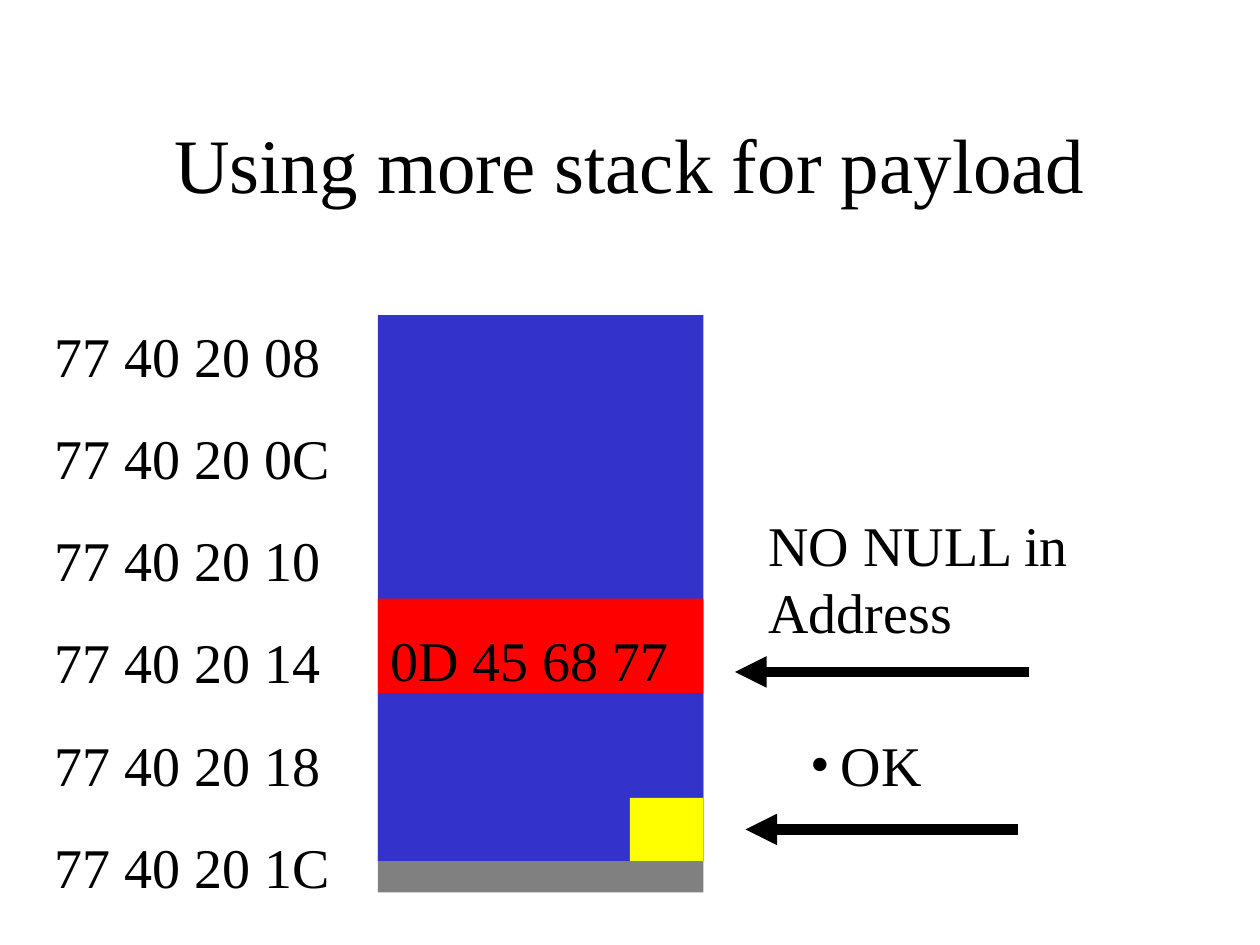
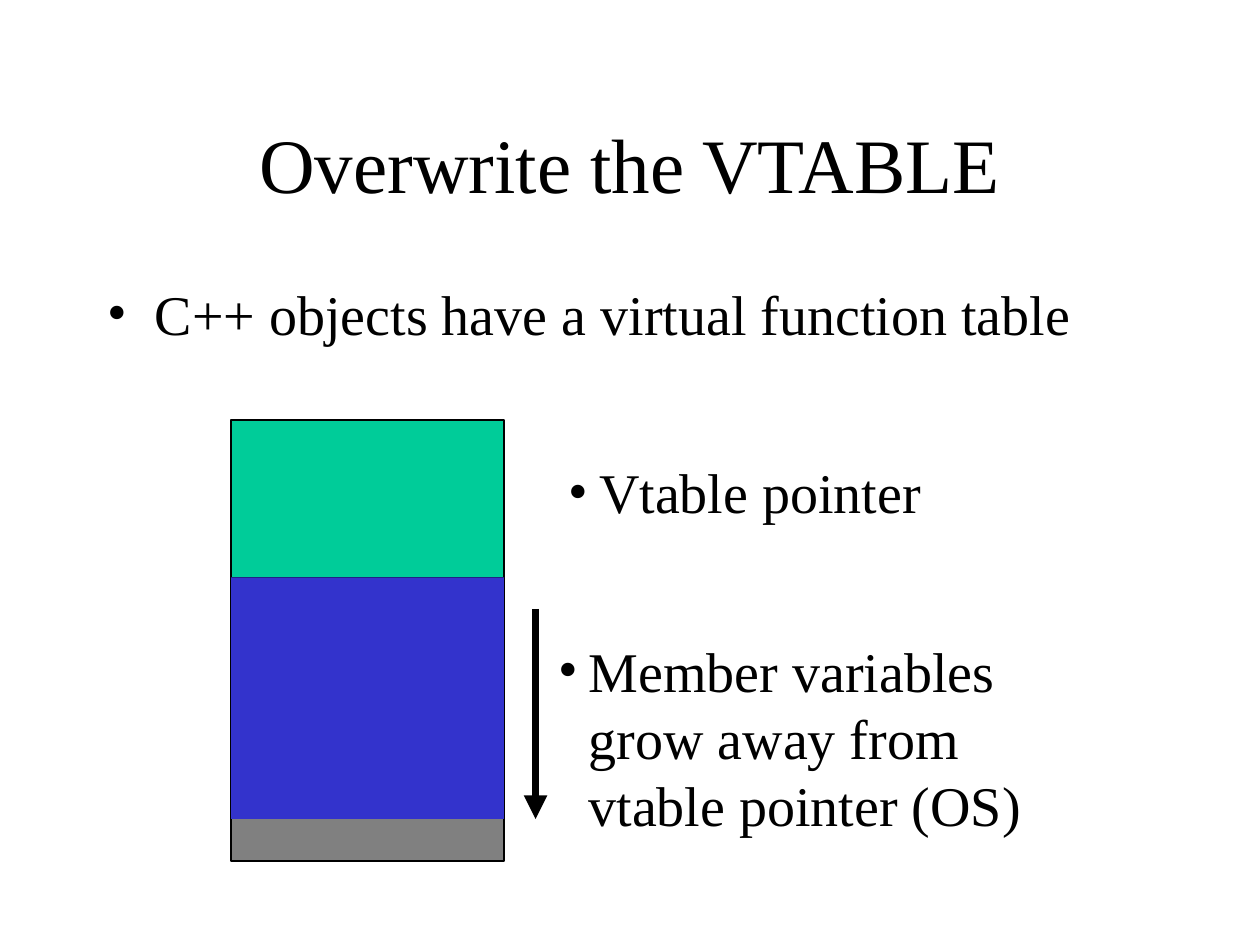
from pptx import Presentation
from pptx.dml.color import RGBColor
from pptx.enum.shapes import MSO_CONNECTOR, MSO_SHAPE
from pptx.enum.text import MSO_ANCHOR, MSO_AUTO_SIZE, PP_ALIGN
from pptx.oxml.ns import qn
from pptx.util import Inches, Pt
from lxml import etree

RECT = MSO_SHAPE.RECTANGLE
LINE = MSO_CONNECTOR.STRAIGHT
MIDDLE = MSO_ANCHOR.MIDDLE
CENTER = PP_ALIGN.CENTER
FIXED = MSO_AUTO_SIZE.NONE
GROW = MSO_AUTO_SIZE.SHAPE_TO_FIT_TEXT

FONT = "Times New Roman"
COLS, ROWS = 120, 90
WIDTH, HEIGHT = Inches(10), Inches(7.5)
INKS = {
    "black": "000000",
    "grey": "808080",
    "blue": "3333CC",
    "red": "FF0000",
    "yellow": "FFFF00",
    "green": "00CC99",
}
TITLE = (9, 8, 102, 15)
BODY = (9, 26, 102, 11)
ROW = 7.7
DOT = 0.24


def ink(name):
    return RGBColor.from_string(INKS[name])


def across(col):
    return round(WIDTH * col / COLS)


def down(row):
    return round(HEIGHT * row / ROWS)


def place(box):
    left, top, width, height = box
    return across(left), down(top), across(width), down(height)


def add_node(parent, tag, **attrs):
    return etree.SubElement(parent, qn(tag), attrs)


def set_dot(para, indent):
    props = para._p.get_or_add_pPr()
    props.set("marL", str(Inches(indent)))
    props.set("indent", str(-Inches(indent)))
    tint = add_node(props, "a:buClr")
    add_node(tint, "a:srgbClr", val=INKS["black"])
    add_node(props, "a:buFont", typeface=FONT)
    add_node(props, "a:buChar", char="•")


def write(frame, lines, size=32, gap=20, dot=0):
    frame.word_wrap = True
    for index, line in enumerate(lines):
        para = frame.add_paragraph() if index else frame.paragraphs[0]
        if dot:
            set_dot(para, dot)
        para.space_before = Pt(gap if index else 0)
        run = para.add_run()
        run.text = line
        run.font.name = FONT
        run.font.size = Pt(size)
        run.font.color.rgb = ink("black")


def fill_holder(holder, box, text, **style):
    holder.left, holder.top, holder.width, holder.height = place(box)
    frame = holder.text_frame
    frame.auto_size = FIXED
    write(frame, [text], **style)
    return frame


def start(deck, layout, title):
    slide = deck.slides.add_slide(deck.slide_layouts[layout])
    frame = fill_holder(slide.shapes.title, TITLE, title, size=44)
    frame.vertical_anchor = MIDDLE
    frame.paragraphs[0].alignment = CENTER
    return slide


def add_label(slide, box, *lines, dot=0):
    frame = slide.shapes.add_textbox(*place(box)).text_frame
    write(frame, lines, dot=dot)
    frame.auto_size = GROW


def add_block(slide, box, tone, edge=False):
    block = slide.shapes.add_shape(RECT, *place(box))
    block.shadow.inherit = False
    block.fill.solid()
    block.fill.fore_color.rgb = ink(tone)
    if edge:
        block.line.color.rgb = ink("black")
        block.line.width = Pt(0.75)
    else:
        block.line.fill.background()


def add_stack(slide, box, bands):
    left, top, width, _ = box
    for tone, row, rows, edge in bands:
        add_block(slide, (left, top + row, width, rows), tone, edge)


def add_arrow(slide, tail, head, weight):
    points = across(tail[0]), down(tail[1]), across(head[0]), down(head[1])
    arrow = slide.shapes.add_connector(LINE, *points)
    arrow.line.color.rgb = ink("black")
    arrow.line.width = Pt(weight)
    props = arrow._element.spPr
    add_node(props.find(qn("a:ln")), "a:tailEnd", type="triangle")
    add_node(props, "a:effectLst")


def draw_payload(slide, box):
    left, top, width, height = box
    right = left + width
    add_stack(slide, box, [
        ("grey", 36, 19, False),
        ("blue", 0, 52, False),
        ("red", 27, 9, False),
    ])
    add_block(slide, (right - 7, top + 46, 7, 6), "yellow")
    add_label(slide, (left, top + 29, width, ROW), "0D 45 68 77")
    ends = ["08", "0C", "10", "14", "18", "1C"]
    add_label(slide, (left - 32, top, 29, height + 1),
              *[f"77 40 20 {end}" for end in ends])
    add_label(slide, (right + 5, top + 18, 48, 14), "NO NULL in Address")
    add_arrow(slide, (right + 31, top + 34), (right + 3, top + 34), 6)
    add_label(slide, (right + 9, top + 39, 36, ROW), "OK", dot=DOT)
    add_arrow(slide, (right + 30, top + 49), (right + 4, top + 49), 6)


def draw_object(slide, box):
    left, top, width, _ = box
    right = left + width
    add_stack(slide, box, [
        ("grey", 15, 27, True),
        ("green", 0, 15, True),
        ("blue", 15, 23, False),
    ])
    add_label(slide, (right + 5, top + 3, 47, ROW), "Vtable pointer", dot=DOT)
    add_label(slide, (right + 4, top + 20, 49, 20.4),
              "Member variables grow away from vtable pointer (OS)", dot=DOT)
    add_arrow(slide, (right + 3, top + 18), (right + 3, top + 38), 4.5)


def main():
    deck = Presentation()
    deck.slide_width, deck.slide_height = WIDTH, HEIGHT
    slide = start(deck, 5, "Using more stack for payload")
    draw_payload(slide, (36, 30, 31, 55))
    slide = start(deck, 1, "Overwrite the VTABLE")
    fill_holder(slide.placeholders[1], BODY,
                "C++ objects have a virtual function table", dot=0.38)
    draw_object(slide, (22, 40, 26, 42))
    deck.save("out.pptx")


if __name__ == "__main__":
    main()
